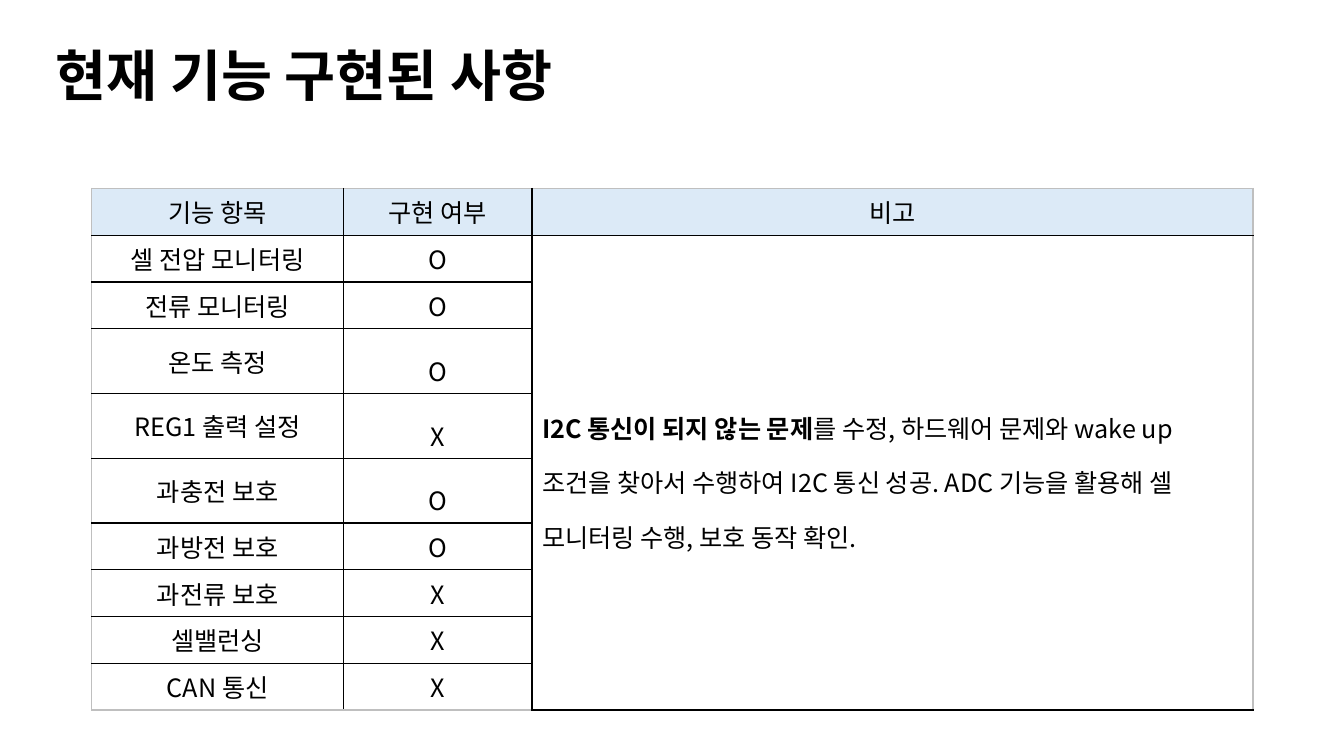
from dataclasses import dataclass

from lxml.etree import SubElement
from pptx import Presentation
from pptx.dml.color import RGBColor
from pptx.enum.text import MSO_ANCHOR as Anchor, MSO_AUTO_SIZE as AutoSize, PP_ALIGN as Align
from pptx.oxml.ns import qn
from pptx.util import Pt


@dataclass(frozen=True)
class Theme:
    font: str = "Noto Sans CJK KR"
    text: str = "000000"
    header: str = "DCEAF7"
    grid: str = "000000"
    frame: str = "BFBFBF"
    title_size: float = 39.6
    body_size: float = 18


THEME = Theme()
TITLE = "현재 기능 구현된 사항"
HEADERS = ("기능 항목", "구현 여부", "비고")
FEATURES = (
    ("셀 전압 모니터링", "O", 1),
    ("전류 모니터링", "O", 1),
    ("온도 측정", "O", 1.5),
    ("REG1 출력 설정", "X", 1.5),
    ("과충전 보호", "O", 1.5),
    ("과방전 보호", "O", 1),
    ("과전류 보호", "X", 1),
    ("셀밸런싱", "X", 1),
    ("CAN 통신", "X", 1),
)
REMARK_LEAD = "I2C 통신이 되지 않는 문제"
REMARK_REST = (
    "를 수정, 하드웨어 문제와 wake up 조건을 찾아서 수행하여 I2C 통신 성공. "
    "ADC 기능을 활용해 셀 모니터링 수행, 보호 동작 확인."
)
COLUMN_WIDTHS = (180, 134.5, 515)
ROW_HEIGHTS = {1: 33.4, 1.5: 46.2}


def add_text(paragraph, text, size=THEME.body_size, bold=False, align=Align.CENTER, spacing=1):
    paragraph.alignment = align
    paragraph.line_spacing = spacing
    run = paragraph.add_run()
    run.text = text
    run.font.size = Pt(size)
    run.font.bold = bold
    run.font.color.rgb = RGBColor.from_string(THEME.text)
    run.font.name = THEME.font
    SubElement(run.font._element, qn("a:ea"), typeface=THEME.font)


def add_title(slide):
    title = slide.shapes.title
    title.left, title.top, title.width, title.height = Pt(32.4), Pt(28), Pt(693.4), Pt(53.3)
    frame = title.text_frame
    frame.auto_size = AutoSize.NONE
    frame.word_wrap = True
    frame.vertical_anchor = Anchor.BOTTOM
    add_text(frame.paragraphs[0], TITLE, size=THEME.title_size, bold=True,
             align=Align.LEFT, spacing=0.9)


def add_borders(cell, outer_sides):
    properties = cell._tc.get_or_add_tcPr()
    for side in "LRTB":
        color = THEME.frame if side in outer_sides else THEME.grid
        line = SubElement(properties, qn(f"a:ln{side}"), w=str(Pt(1)))
        fill = SubElement(line, qn("a:solidFill"))
        SubElement(fill, qn("a:srgbClr"), val=color)


def format_cells(table):
    last_row, last_column = len(table.rows) - 1, len(table.columns) - 1
    for row_index, row in enumerate(table.rows):
        for column_index, cell in enumerate(row.cells):
            edges = {"L": column_index == 0, "R": column_index == last_column,
                     "T": row_index == 0, "B": row_index == last_row}
            add_borders(cell, [side for side, outer in edges.items() if outer])
            cell.vertical_anchor = Anchor.MIDDLE
            if row_index == 0:
                cell.fill.solid()
                cell.fill.fore_color.rgb = RGBColor.from_string(THEME.header)
            else:
                cell.fill.background()


def add_feature_table(slide):
    heights = [ROW_HEIGHTS[1]] + [ROW_HEIGHTS[spacing] for _, _, spacing in FEATURES]
    table = slide.shapes.add_table(
        len(heights), len(HEADERS), Pt(65.5), Pt(134.6),
        Pt(sum(COLUMN_WIDTHS)), Pt(sum(heights))).table
    table.first_row = table.horz_banding = False
    for column, width in zip(table.columns, COLUMN_WIDTHS):
        column.width = Pt(width)
    for row, height in zip(table.rows, heights):
        row.height = Pt(height)
    format_cells(table)
    for column_index, header in enumerate(HEADERS):
        add_text(table.cell(0, column_index).text_frame.paragraphs[0], header)
    for row_index, (feature, status, spacing) in enumerate(FEATURES, start=1):
        add_text(table.cell(row_index, 0).text_frame.paragraphs[0], feature)
        add_text(table.cell(row_index, 1).text_frame.paragraphs[0], status, spacing=spacing)
    remark = table.cell(1, 2)
    remark.merge(table.cell(len(FEATURES), 2))
    paragraph = remark.text_frame.paragraphs[0]
    for text, bold in ((REMARK_LEAD, True), (REMARK_REST, False)):
        add_text(paragraph, text, bold=bold, align=Align.LEFT, spacing=1.5)


def main():
    presentation = Presentation()
    presentation.slide_width, presentation.slide_height = Pt(960), Pt(540)
    slide = presentation.slides.add_slide(presentation.slide_layouts[5])
    add_title(slide)
    add_feature_table(slide)
    presentation.save("out.pptx")


if __name__ == "__main__":
    main()
